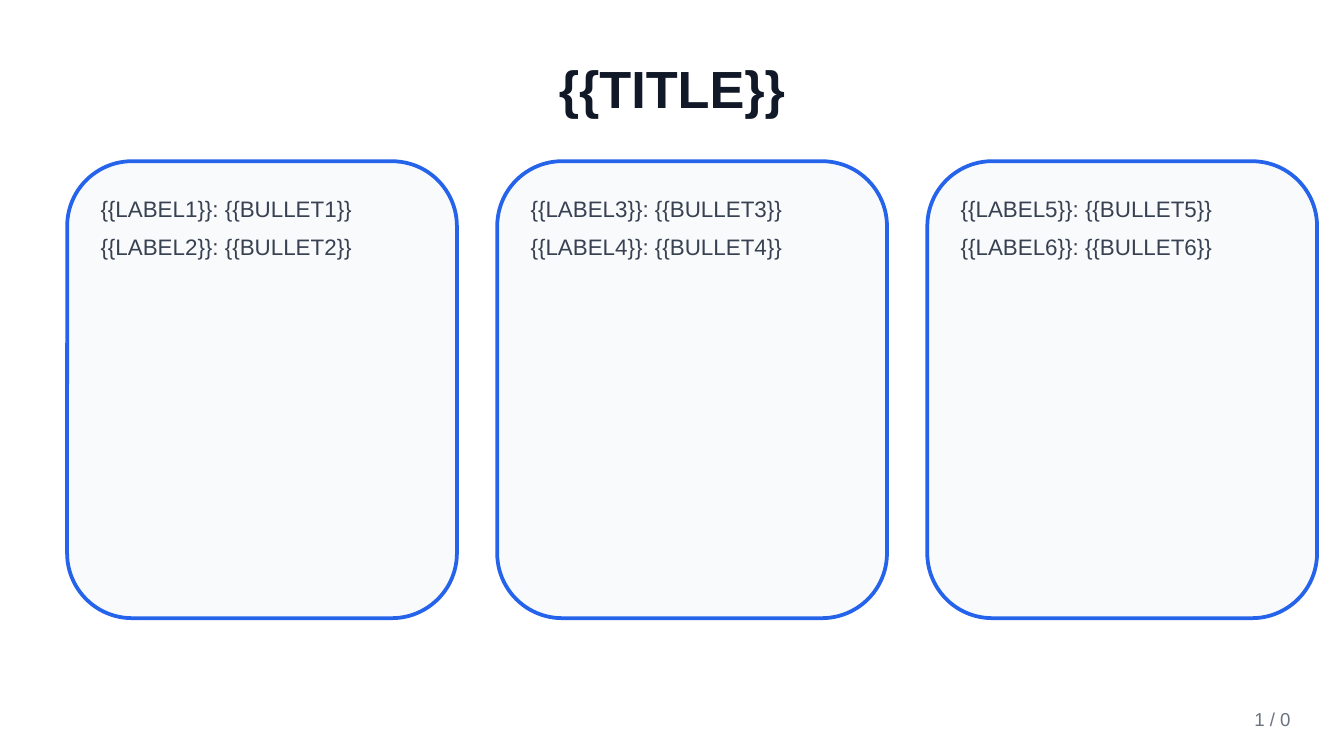
from lxml.etree import SubElement as Sub
from pptx import Presentation
from pptx.dml.color import RGBColor as Rgb
from pptx.enum.shapes import MSO_SHAPE as Kind
from pptx.enum.text import MSO_ANCHOR as Anchor, PP_ALIGN as Align
from pptx.oxml.ns import qn
from pptx.util import Inches, Pt


def tint(code):
    return Rgb.from_string(code)


class Deck:
    font = "Arial"
    ink, body, muted = "111827", "374151", "6B7280"
    panel, edge = "F9FAFB", "2563EB"
    cells = 10

    def __init__(self, cols, rows):
        self.prs = Presentation()
        self.prs.slide_width, self.prs.slide_height = self.grid(cols, rows)
        self.slide = self.prs.slides.add_slide(self.prs.slide_layouts[6])
        fill = self.slide.background.fill
        fill.solid()
        fill.fore_color.rgb = tint("FFFFFF")

    def grid(self, *units):
        return [Inches(unit / self.cells) for unit in units]

    def text(self, area, lines, size, color, bold=False,
             align=Align.LEFT, anchor=Anchor.TOP, after=0):
        frame = self.slide.shapes.add_textbox(*self.grid(*area)).text_frame
        frame.word_wrap = True
        frame.vertical_anchor = anchor
        for i, line in enumerate(lines):
            para = frame.add_paragraph() if i else frame.paragraphs[0]
            para.alignment = align
            para.space_after = Pt(after)
            run = para.add_run()
            run.text = line
            run.font.name = self.font
            run.font.size = Pt(size)
            run.font.bold = bold
            run.font.color.rgb = tint(color)

    def card(self, area, alpha=90):
        card = self.slide.shapes.add_shape(Kind.ROUNDED_RECTANGLE, *self.grid(*area))
        card.shadow.inherit = False
        card.fill.solid()
        card.fill.fore_color.rgb = tint(self.panel)
        color = card.element.spPr.find(qn("a:solidFill"))[0]
        Sub(color, qn("a:alpha"), val=str(alpha * 1000))
        card.line.color.rgb = tint(self.edge)
        card.line.width = Pt(2)

    def save(self):
        self.prs.save("out.pptx")


def main():
    deck = Deck(100, 56.25)
    deck.text((5, 3, 90, 7), ["{{TITLE}}"], 28, deck.ink, True,
              Align.CENTER, Anchor.MIDDLE)

    left, top, width, height, gap = 5, 12, 29, 34, 3
    for col in range(3):
        x = left + col * (width + gap)
        deck.card((x, top, width, height))
        first = 2 * col + 1
        lines = [f"{{{{LABEL{n}}}}}: {{{{BULLET{n}}}}}" for n in (first, first + 1)]
        deck.text((x + 1.5, top + 2, width - 3, height - 4), lines,
                  12, deck.body, after=6)

    deck.text((85, 52, 12, 3), ["1 / 0"], 10, deck.muted,
              align=Align.RIGHT, anchor=Anchor.MIDDLE)
    deck.save()


if __name__ == "__main__":
    main()
